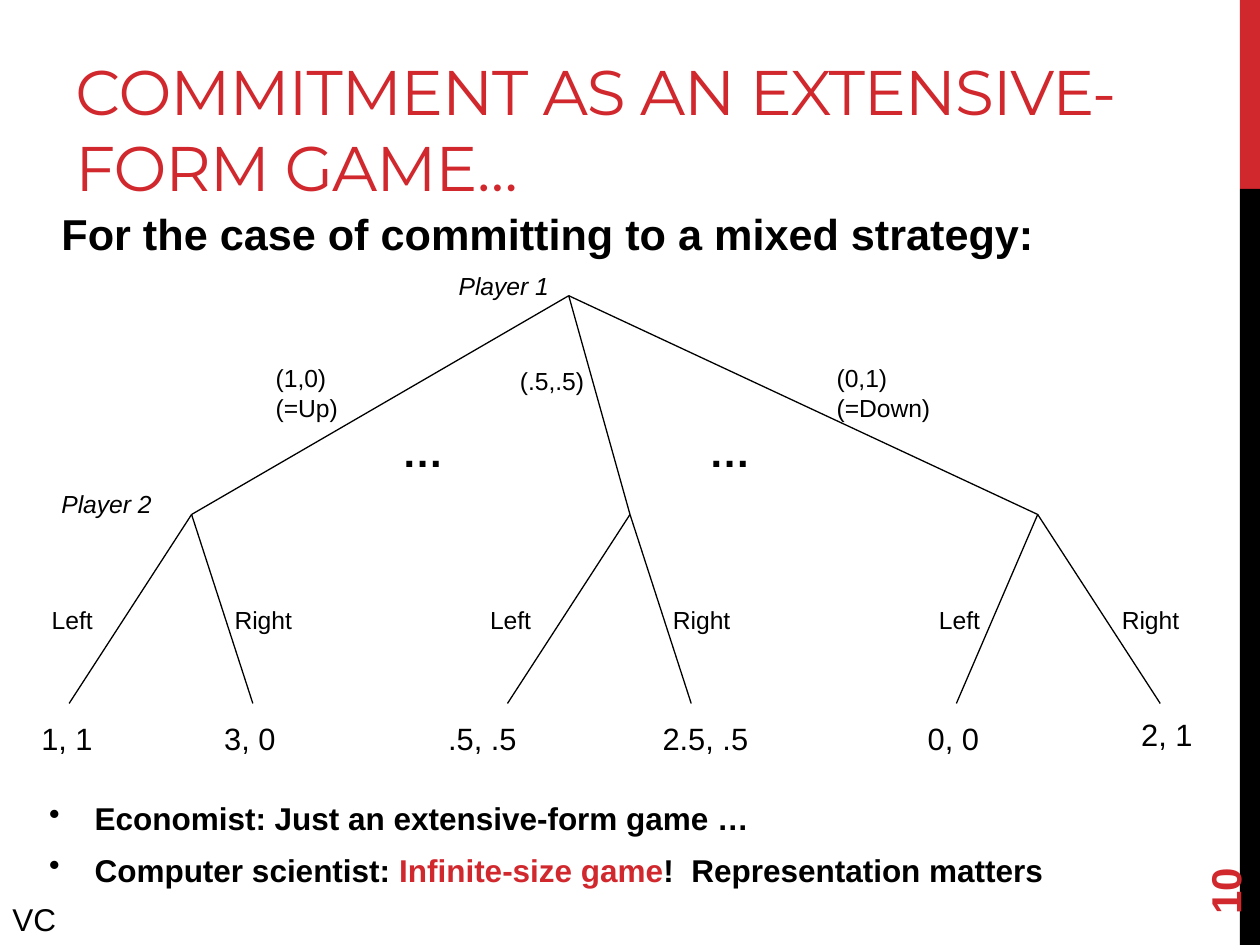
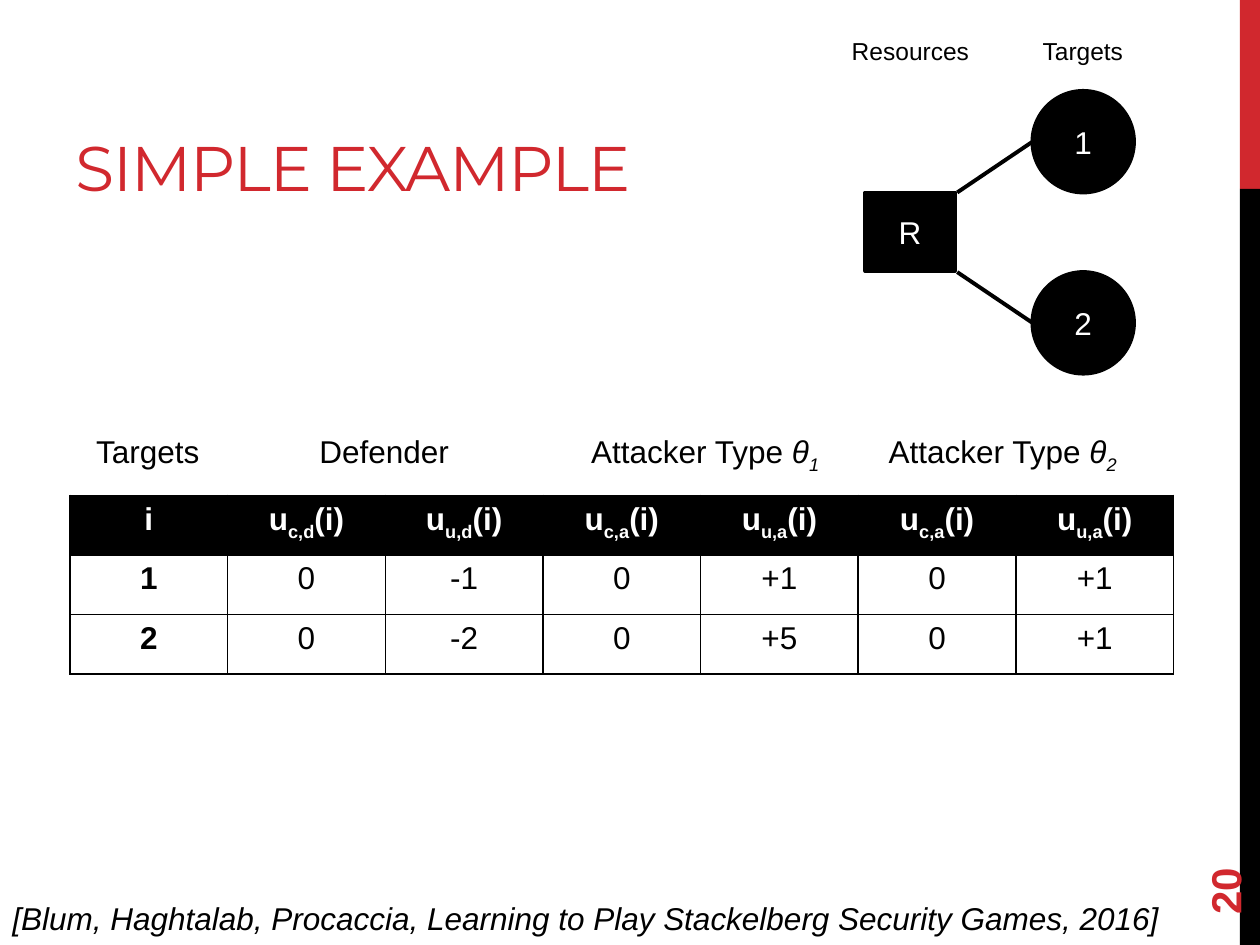
"""Build two slides on commitment and security games."""
from lxml.etree import SubElement
from pptx import Presentation
from pptx.dml.color import RGBColor
from pptx.enum.shapes import MSO_CONNECTOR, MSO_SHAPE
from pptx.enum.text import MSO_ANCHOR as Anchor, PP_ALIGN as Align
from pptx.oxml.ns import qn
from pptx.util import Pt

COLOURS = {"red": "D1282E", "black": "000000", "white": "FFFFFF"}


def rgb(name):
    return RGBColor.from_string(COLOURS[name])


class Deck:
    def __init__(self):
        self.presentation = Presentation()
        self.presentation.slide_width = Pt(720)
        self.presentation.slide_height = Pt(540)
        self.body_font = "Arial"
        self.title_font = "Montserrat"
        self.slide = None

    def new_slide(self, title, title_width, number):
        self.slide = self.presentation.slides.add_slide(self.presentation.slide_layouts[6])
        self.shape(MSO_SHAPE.RECTANGLE, 708.5, 0, 11.5, 108, "red")
        self.shape(MSO_SHAPE.RECTANGLE, 708.5, 108, 11.5, 432, "black")
        self.text(title, 36, title_width, 12, 108, size=36, colour="red",
                  font=self.title_font, spacing=-60, anchor=Anchor.BOTTOM)
        box = self.text(number, 648, 103.5, 463.5, 29, size=24, colour="red",
                        bold=True, anchor=Anchor.MIDDLE)
        box.rotation = 270

    def run(self, paragraph, text, size=18, colour="black", bold=False, italic=False,
            font=None, spacing=None, subscript=False):
        run = paragraph.add_run()
        run.text = text
        run.font.size = Pt(size)
        run.font.name = font or self.body_font
        run.font.bold = bold
        run.font.italic = italic
        run.font.color.rgb = rgb(colour)
        properties = run._r.get_or_add_rPr()
        if spacing:
            properties.set("spc", str(spacing))
        if subscript:
            properties.set("baseline", "-25000")

    def runs(self, paragraph, content, **style):
        parts = [(content, {})] if isinstance(content, str) else content
        for text, changes in parts:
            self.run(paragraph, text, **{**style, **changes})

    def text(self, content, left, width, top, height, align=Align.LEFT,
             anchor=Anchor.TOP, line_spacing=None, **style):
        box = self.slide.shapes.add_textbox(Pt(left), Pt(top), Pt(width), Pt(height))
        frame = box.text_frame
        frame.word_wrap = True
        frame.vertical_anchor = anchor
        paragraph = frame.paragraphs[0]
        paragraph.alignment = align
        if line_spacing:
            paragraph.line_spacing = line_spacing
        self.runs(paragraph, content, **style)
        return box

    def bullets(self, items, left, width, top, height, **style):
        box = self.slide.shapes.add_textbox(Pt(left), Pt(top), Pt(width), Pt(height))
        frame = box.text_frame
        frame.word_wrap = True
        for index, item in enumerate(items):
            paragraph = frame.add_paragraph() if index else frame.paragraphs[0]
            properties = paragraph._p.get_or_add_pPr()
            properties.set("marL", str(Pt(26)))
            properties.set("indent", str(-Pt(26)))
            colour = SubElement(properties, qn("a:buClr"))
            SubElement(colour, qn("a:srgbClr"), val=COLOURS["black"])
            SubElement(properties, qn("a:buChar"), char="•")
            if index:
                paragraph.space_before = Pt(7.9)
            self.runs(paragraph, item, **style)

    def shape(self, kind, left, top, width, height, fill, label=None, line=None):
        shape = self.slide.shapes.add_shape(kind, Pt(left), Pt(top), Pt(width), Pt(height))
        shape.shadow.inherit = False
        shape.fill.solid()
        shape.fill.fore_color.rgb = rgb(fill)
        if line:
            shape.line.color.rgb = rgb("black")
            shape.line.width = Pt(line)
        else:
            shape.line.fill.background()
        if label:
            frame = shape.text_frame
            frame.vertical_anchor = Anchor.MIDDLE
            frame.paragraphs[0].alignment = Align.CENTER
            self.run(frame.paragraphs[0], label, colour="white")

    def line(self, start, end, width=0.75):
        points = [Pt(value) for value in (*start, *end)]
        connector = self.slide.shapes.add_connector(MSO_CONNECTOR.STRAIGHT, *points)
        connector.line.color.rgb = rgb("black")
        connector.line.width = Pt(width)
        SubElement(connector._element.spPr, qn("a:effectLst"))

    def table(self, rows, left, top, column_width, row_height):
        columns = len(rows[0])
        table = self.slide.shapes.add_table(
            len(rows), columns, Pt(left), Pt(top),
            Pt(column_width * columns), Pt(row_height * len(rows))).table
        for column in table.columns:
            column.width = Pt(column_width)
        for row_index, row in enumerate(rows):
            table.rows[row_index].height = Pt(row_height)
            header = row_index == 0
            for column_index, content in enumerate(row):
                cell = table.cell(row_index, column_index)
                self.borders(cell)
                cell.fill.solid()
                cell.fill.fore_color.rgb = rgb("black" if header else "white")
                paragraph = cell.text_frame.paragraphs[0]
                paragraph.alignment = Align.CENTER
                self.runs(paragraph, content, bold=header or column_index == 0,
                          colour="white" if header else "black")

    def borders(self, cell):
        properties = cell._tc.get_or_add_tcPr()
        for side in ("lnL", "lnR", "lnT", "lnB"):
            border = SubElement(properties, qn(f"a:{side}"), w=str(Pt(1)))
            fill = SubElement(border, qn("a:solidFill"))
            SubElement(fill, qn("a:srgbClr"), val=COLOURS["black"])


def build_commitment_tree(deck):
    deck.new_slide("COMMITMENT AS AN EXTENSIVE-FORM GAME…", 609, "10")
    deck.text("For the case of committing to a mixed strategy:", 28, 641, 108, 66,
              size=24.7, bold=True, line_spacing=1.24)

    root, node_y, leaf_y = (325, 169), 294, 402
    branches = [
        (109.5, (39.5, 144.5), (("1, 1", 16.5, 408), ("3, 0", 121, 408))),
        (360, (290, 395), ((".5, .5", 249, 408), ("2.5, .5", 371.5, 408))),
        (593, (546.5, 663), (("0, 0", 523, 408), ("2, 1", 645, 405.5))),
    ]
    for node_x, leaves, payoffs in branches:
        node = (node_x, node_y)
        deck.line(root, node)
        for leaf_x in leaves:
            deck.line(node, (leaf_x, leaf_y))
        for index, move in enumerate(("Left", "Right")):
            deck.text(move, leaves[0] - 17 + 104.5 * index, 52.5, 342, 24.5, size=14.1)
        for payoff, left, top in payoffs:
            deck.text(payoff, left, 70, top, 29, size=17.6)

    for player, left, top in (("Player 1", 255, 151.5), ("Player 2", 28, 276)):
        deck.text(player, left, 70, top, 24.5, size=14.1, italic=True)
    for strategy, left, width, top in (("(1,0) (=Up)", 150.5, 58, 204),
                                       ("(.5,.5)", 290, 70, 205.5),
                                       ("(0,1) (=Down)", 471, 70, 204)):
        deck.text(strategy, left, width, top, 41, size=14.1)
    for left in (221.5, 397):
        deck.text("…", left, 40, 240, 36, size=23.8, bold=True, align=Align.CENTER)

    deck.bullets([
        "Economist: Just an extensive-form game …",
        [("Computer scientist: ", {}), ("Infinite-size game", {"colour": "red"}),
         ("!  Representation matters", {})],
    ], 21, 688, 453, 66, bold=True)
    deck.text("VC", 0, 55, 511, 29)


def utility(subscript):
    return [("u", {}), (subscript, {"subscript": True}), ("(i)", {})]


def attacker(number):
    return [("Attacker Type ", {}), ("θ", {"italic": True}),
            (number, {"italic": True, "subscript": True})]


def build_security_example(deck):
    deck.new_slide("SIMPLE EXAMPLE", 456, "20")
    deck.text("[Blum, Haghtalab, Procaccia, Learning to Play Stackelberg Security Games, 2016]",
              0, 672, 510, 29, italic=True)

    for heading, left in (("Resources", 478), ("Targets", 576.5)):
        deck.text(heading, left, 84.5, 17, 24.5, size=14, align=Align.CENTER)
    deck.shape(MSO_SHAPE.RECTANGLE, 494.5, 110, 51, 45, "black", "R", 2.25)
    for target, top, corner_y in (("1", 52, 110), ("2", 155.5, 155.5)):
        deck.shape(MSO_SHAPE.OVAL, 590, top, 58, 58, "black", target, 2.25)
        deck.line((547, corner_y), (590, top + 29), 2.25)

    for heading, left, width in (("Targets", 40, 89), ("Defender", 175, 89),
                                 (attacker("1"), 328, 150), (attacker("2"), 498, 150)):
        deck.text(heading, left, width, 243.5, 29, align=Align.CENTER)
    deck.table([
        ["i"] + [utility(name) for name in ("c,d", "u,d", "c,a", "u,a", "c,a", "u,a")],
        ["1", "0", "-1", "0", "+1", "0", "+1"],
        ["2", "0", "-2", "0", "+5", "0", "+1"],
    ], 40, 283, 90.1, 34.1)


def main():
    deck = Deck()
    build_commitment_tree(deck)
    build_security_example(deck)
    deck.presentation.save("out.pptx")


if __name__ == "__main__":
    main()
